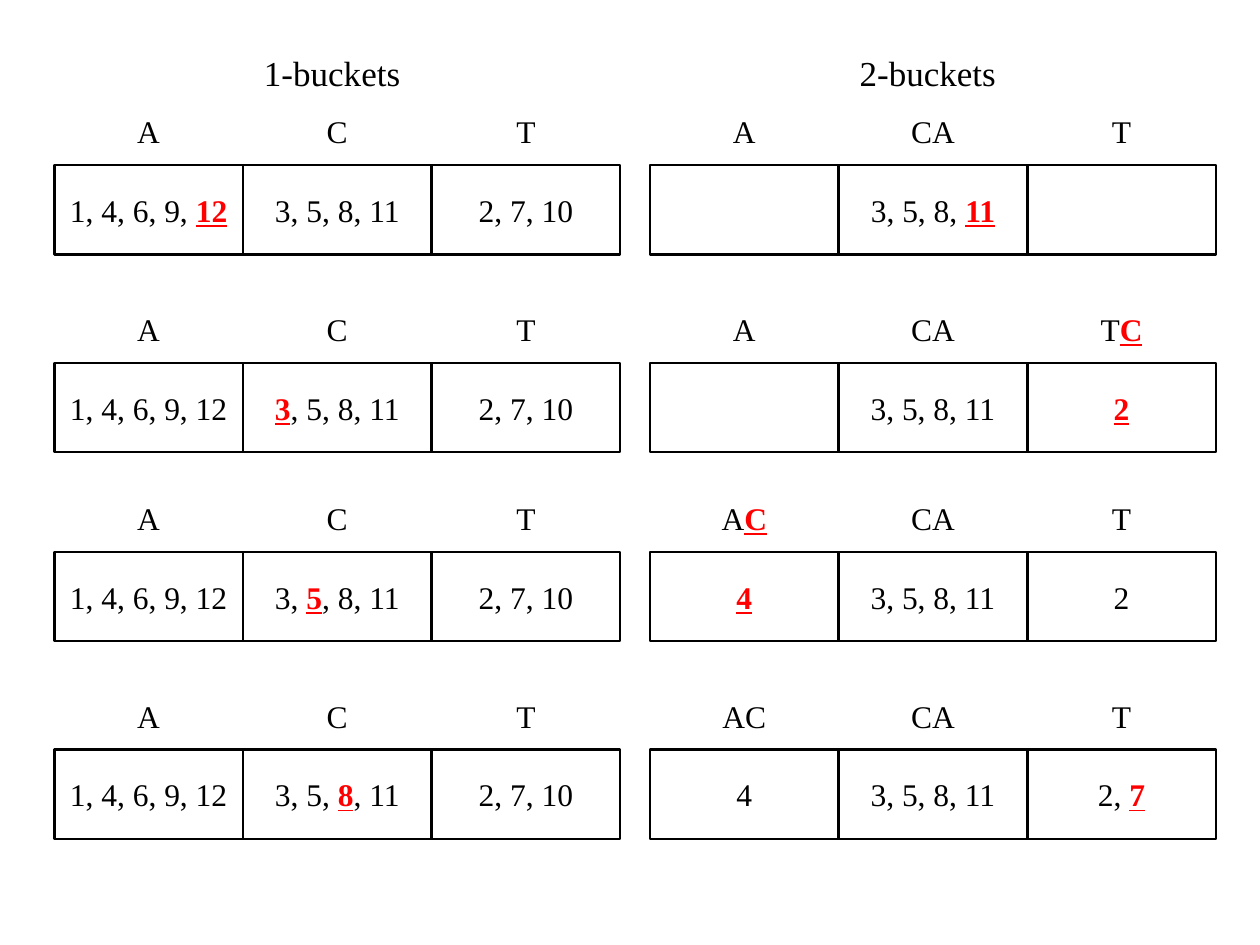
from pptx import Presentation
from pptx.dml.color import RGBColor
from pptx.enum.shapes import MSO_SHAPE
from pptx.enum.text import MSO_ANCHOR, MSO_AUTO_SIZE, PP_ALIGN
from pptx.util import Pt

RECTANGLE = MSO_SHAPE.RECTANGLE
MIDDLE = MSO_ANCHOR.MIDDLE
GROW = MSO_AUTO_SIZE.SHAPE_TO_FIT_TEXT
CENTER = PP_ALIGN.CENTER
BLACK = RGBColor(0, 0, 0)
WHITE = RGBColor(255, 255, 255)
RED = RGBColor(255, 0, 0)

CELL_WIDTH, CELL_HEIGHT = 107.8, 51
LABEL_WIDTH, LABEL_HEIGHT = 51, 29
LABEL_RISE = 33.8
ROW_TOPS = [94.3, 207.4, 315.4, 428.4]

# Asterisks enclose the highlighted part of a text.
BUCKET_GROUPS = [
    ("1-buckets", 31, [
        ("A", "C", "T", "1, 4, 6, 9, *12*", "3, 5, 8, 11", "2, 7, 10"),
        ("A", "C", "T", "1, 4, 6, 9, 12", "*3*, 5, 8, 11", "2, 7, 10"),
        ("A", "C", "T", "1, 4, 6, 9, 12", "3, *5*, 8, 11", "2, 7, 10"),
        ("A", "C", "T", "1, 4, 6, 9, 12", "3, 5, *8*, 11", "2, 7, 10"),
    ]),
    ("2-buckets", 371.4, [
        ("A", "CA", "T", "", "3, 5, 8, *11*", ""),
        ("A", "CA", "T*C*", "", "3, 5, 8, 11", "*2*"),
        ("A*C*", "CA", "T", "*4*", "3, 5, 8, 11", "2"),
        ("AC", "CA", "T", "4", "3, 5, 8, 11", "2, *7*"),
    ]),
]


def write_text(shape, text, size=18):
    paragraph = shape.text_frame.paragraphs[0]
    paragraph.alignment = CENTER
    paragraph.font.name = "Times New Roman"
    paragraph.font.size = Pt(size)
    paragraph.font.color.rgb = BLACK
    for index, part in enumerate(text.split("*")):
        if part:
            run = paragraph.add_run()
            run.text = part
            if index % 2:
                run.font.bold = True
                run.font.underline = True
                run.font.color.rgb = RED


def add_label(left, top, width, height, text, size=18):
    label = slide.shapes.add_textbox(Pt(left), Pt(top), Pt(width), Pt(height))
    label.text_frame.word_wrap = True
    label.text_frame.auto_size = GROW
    write_text(label, text, size)


presentation = Presentation()
presentation.slide_width = Pt(720)
presentation.slide_height = Pt(540)
slide = presentation.slides.add_slide(presentation.slide_layouts[6])

for heading, group_left, rows in BUCKET_GROUPS:
    add_label(group_left + CELL_WIDTH, 26, 102, 31.5, heading, 20)
    for top, row in zip(ROW_TOPS, rows):
        for column, (prefix, positions) in enumerate(zip(row[:3], row[3:])):
            left = group_left + column * CELL_WIDTH
            cell = slide.shapes.add_shape(
                RECTANGLE, Pt(left), Pt(top), Pt(CELL_WIDTH), Pt(CELL_HEIGHT))
            cell.shadow.inherit = False
            cell.fill.solid()
            cell.fill.fore_color.rgb = WHITE
            cell.line.color.rgb = BLACK
            cell.line.width = Pt(1.5)
            cell.text_frame.word_wrap = False
            cell.text_frame.vertical_anchor = MIDDLE
            write_text(cell, positions)
            add_label(left + (CELL_WIDTH - LABEL_WIDTH) / 2, top - LABEL_RISE,
                      LABEL_WIDTH, LABEL_HEIGHT, prefix)

presentation.save("out.pptx")
